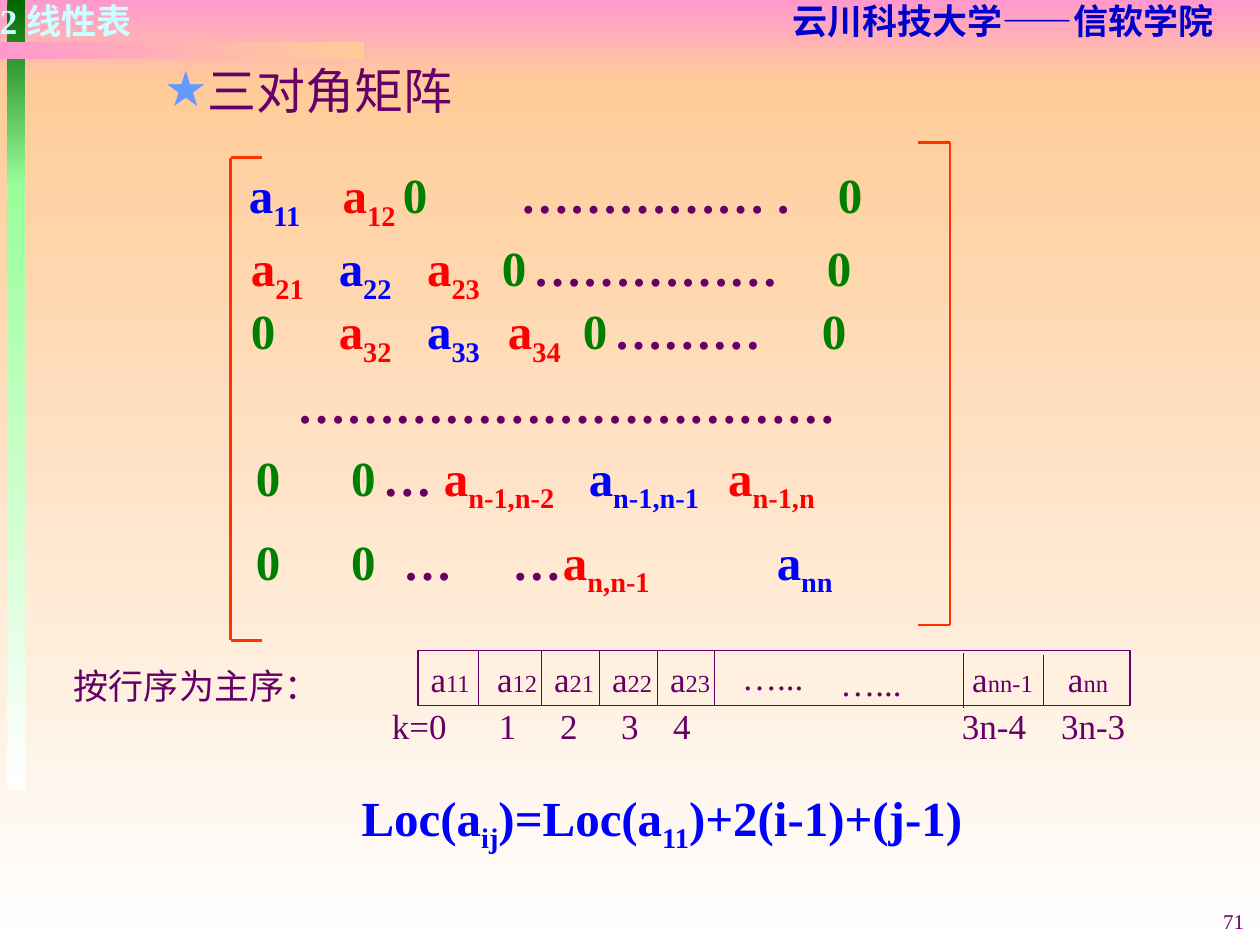
from lxml.etree import SubElement
from pptx import Presentation
from pptx.dml.color import RGBColor
from pptx.enum.shapes import MSO_CONNECTOR, MSO_SHAPE
from pptx.enum.text import MSO_ANCHOR, PP_ALIGN
from pptx.oxml.ns import qn
from pptx.util import Cm, Pt

PLUM, RED, BLUE, GREEN = "660066", "FF0000", "0000FF", "008000"
SERIF = "Times New Roman"
PAD = 0.25
DIAG = {"11", "22", "33", "n-1,n-1", "nn"}

# left, top, width, then (x, entry) pairs, all from the matrix corner
ROWS = [
    (-2.31, 0.33, 22.22, [(0.37, "a_11"), (2.26, "a_12"), (3.47, "0"),
                          (5.84, "…………… ."), (12.24, "0")]),
    (-2.31, 1.8, 21.59, [(0.41, "a_21"), (2.18, "a_22"), (3.96, "a_23"),
                         (5.47, "0"), (6.1, "……………"), (12.02, "0")]),
    (-1.91, 3.07, 20.96, [(0.41, "0"), (2.18, "a_32"), (3.96, "a_33"),
                          (5.59, "a_34"), (7.1, "0"), (7.73, "………"),
                          (11.92, "0")]),
    (-2.11, 4.55, 15.98, [(1.34, "……………………………")]),
    (0, 6.02, 20.75, [(0.51, "0"), (2.43, "0"), (3.07, "…"),
                      (4.3, "a_n-1,n-2"), (7.22, "a_n-1,n-1"),
                      (10.03, "a_n-1,n")]),
    (0, 7.72, 19.89, [(0.51, "0"), (2.43, "0"), (3.48, "…"), (5.68, "…"),
                      (6.7, "a_n,n-1"), (11.01, "a_nn")]),
]


def rgb(code):
    return RGBColor.from_string(code)


def style(par, size, color=PLUM, bold=False, name=SERIF):
    font = par.font
    font.size, font.bold, font.name = Pt(size), bold, name
    font.color.rgb = rgb(color)


def set_tabs(par, stops):
    tabs = SubElement(par._p.get_or_add_pPr(), qn("a:tabLst"))
    for stop in stops:
        SubElement(tabs, qn("a:tab"), pos=str(Cm(stop)), algn="l")


def frame(slide, x, y, w, h, pad=True, anchor=MSO_ANCHOR.TOP):
    text = slide.shapes.add_textbox(Cm(x), Cm(y), Cm(w), Cm(h)).text_frame
    text.word_wrap = True
    text.vertical_anchor = anchor
    if not pad:
        text.margin_left = text.margin_right = 0
        text.margin_top = text.margin_bottom = 0
    return text


def label(slide, box, words, size, color=PLUM, bold=False, align=None,
          pad=True, anchor=MSO_ANCHOR.MIDDLE):
    par = frame(slide, *box, pad, anchor).paragraphs[0]
    par.text, par.alignment = words, align
    style(par, size, color, bold)


def add_term(par, term, color=None, small=None):
    """Write base_index; the index is lowered, or set in a small size."""
    base, _, index = term.partition("_")
    for part in filter(None, (base, index)):
        run = par.add_run()
        run.text = part
        if color:
            run.font.color.rgb = rgb(color)
    if index and small:
        run.font.size = Pt(small)
    elif index:
        run._r.get_or_add_rPr().set("baseline", "-25000")


def line(slide, x1, y1, x2, y2, color, width):
    rule = slide.shapes.add_connector(
        MSO_CONNECTOR.STRAIGHT, Cm(x1), Cm(y1), Cm(x2), Cm(y2))
    rule.line.color.rgb, rule.line.width = rgb(color), Pt(width)
    SubElement(rule._element.spPr, qn("a:effectLst"))


def fade(slide, x, y, w, h, first, last, angle=270):
    """Add a bar with a two-colour gradient."""
    bar = slide.shapes.add_shape(MSO_SHAPE.RECTANGLE, Cm(x), Cm(y), Cm(w), Cm(h))
    bar.shadow.inherit = False
    bar.line.fill.background()
    bar.fill.gradient()
    bar.fill.gradient_angle = angle
    for stop, code, place in zip(bar.fill.gradient_stops, (first, last), (0, 1)):
        stop.color.rgb, stop.position = rgb(code), place


def backdrop(slide, w, h):
    top = 1.7
    fade(slide, 0, 0, w, top, "FF99CC", "FFCC99")
    fade(slide, 0, top, w, h - top, "FFCC99", "FFFFFF")
    fade(slide, 0.15, 0, 0.36, 3.76, "006600", "99FF99")
    fade(slide, 0.15, 3.71, 0.36, 12.22, "99FF99", "FFFFFF")
    fade(slide, 0, 0.84, 7.34, 0.36, "FF99CC", "FFCC99", 0)
    label(slide, (15.04, 0, 10.36, 0.84), "云川科技大学——信软学院", 20,
          "0000CC", True, PP_ALIGN.CENTER, False, MSO_ANCHOR.TOP)
    label(slide, (0, 0, 4.45, 0.84), "2 线性表", 20, "CCFFFF", True,
          None, False, MSO_ANCHOR.TOP)
    label(slide, (19.41, 18.06, 5.92, 1.02), "71", 12, align=PP_ALIGN.RIGHT)


def heading(slide, x, y, w, h):
    body = slide.placeholders[1]
    body.left, body.top, body.width, body.height = Cm(x), Cm(y), Cm(w), Cm(h)
    par = body.text_frame.paragraphs[0]
    par.text, par.level, par.space_before = "三对角矩阵", 1, Pt(7)
    props = par._p.get_or_add_pPr()
    props.set("marL", str(Cm(2.06)))
    props.set("indent", str(Cm(-0.79)))
    SubElement(SubElement(props, qn("a:buClr")), qn("a:srgbClr"), val="6699FF")
    SubElement(props, qn("a:buChar"), char="★")
    style(par, 28, name="Arial")


def hue(term):
    if term.startswith("a_"):
        return BLUE if term[2:] in DIAG else RED
    return GREEN if term == "0" else PLUM


def bracket(slide, x, y, h, tick):
    for end in (y, y + h):
        line(slide, x, end, x + tick, end, "FF3300", 1.5)
    line(slide, x, y, x, y + h, "FF3300", 1.5)


def matrix(slide, x, y, w, h):
    for left, top, wide, terms in ROWS:
        par = frame(slide, x + left, y + top, wide, 1.6).paragraphs[0]
        set_tabs(par, [at - left - PAD for at, _ in terms])
        style(par, 28, bold=True)
        for _, term in terms:
            add_term(par, "\t" + term, hue(term))
    drop = 0.31
    bracket(slide, x, y + drop, h - drop, 0.64)
    bracket(slide, x + w, y, h - drop, -0.64)


def array(slide, x, y, w, h):
    """Draw the row-major store with its index line."""
    strip = slide.shapes.add_shape(
        MSO_SHAPE.RECTANGLE, Cm(x), Cm(y), Cm(w), Cm(h))
    strip.shadow.inherit = False
    strip.fill.background()
    strip.line.color.rgb, strip.line.width = rgb(PLUM), Pt(0.75)
    text = strip.text_frame
    text.vertical_anchor = MSO_ANCHOR.MIDDLE
    par = text.paragraphs[0]
    par.alignment = PP_ALIGN.LEFT
    set_tabs(par, [at - PAD for at in (1.59, 2.74, 3.91, 5.08, 11.17, 13.1)])
    style(par, 20)
    cells = ("a_11", "a_12", "a_21", "a_22", "a_23", "a_nn-1", "a_nn")
    for pos, cell in enumerate(cells):
        add_term(par, "\t" * (pos > 0) + cell, small=14)

    for at in (1.22, 2.49, 3.66, 4.83, 5.97):
        line(slide, x + at, y, x + at, y + h, PLUM, 0.75)
    line(slide, x + 11, y + 0.05, x + 11, y + h + 0.05, PLUM, 0.75)
    line(slide, x + 12.6, y + 0.1, x + 12.6, y + h, PLUM, 0.75)
    for at, drop in ((6.28, -0.03), (8.26, 0.08)):
        label(slide, (x + at, y + drop, 1.95, h), "…...", 20)

    shift = -0.78
    par = frame(slide, x + shift, y + 0.95, 15.34, h,
                anchor=MSO_ANCHOR.MIDDLE).paragraphs[0]
    stops = (1.63, 2.86, 4.09, 5.14, 10.96, 12.96)
    set_tabs(par, [at - shift - PAD for at in stops])
    style(par, 20)
    marks = ("k=0", "1", "2", "3", "4", "3n-4", "3n-3")
    par.add_run().text = "\t".join(marks)
    label(slide, (x - 7.19, y + 0.15, 5.46, h), "按行序为主序：", 20)


def formula(slide, x, y, w, h):
    par = frame(slide, x, y, w, h).paragraphs[0]
    style(par, 28, BLUE, True)
    for term in ("Loc(a_ij", ")=Loc(a_11", ")+2(i-1)+(j-1)"):
        add_term(par, term)


def main():
    deck = Presentation()
    deck.slide_width, deck.slide_height = Cm(25.4), Cm(19.05)
    slide = deck.slides.add_slide(deck.slide_layouts[1])
    title = slide.shapes.title._element
    title.getparent().remove(title)
    backdrop(slide, 25.4, 19.05)
    heading(slide, 1.78, 1.09, 23.62, 2.39)
    body = slide.placeholders[1]._element
    body.getparent().append(body)  # bring in front of the backdrop
    matrix(slide, 4.65, 2.87, 14.5, 10.04)
    formula(slide, 7.04, 15.75, 16.1, 1.6)
    array(slide, 8.43, 13.11, 14.35, 1.12)
    deck.save("out.pptx")


if __name__ == "__main__":
    main()
